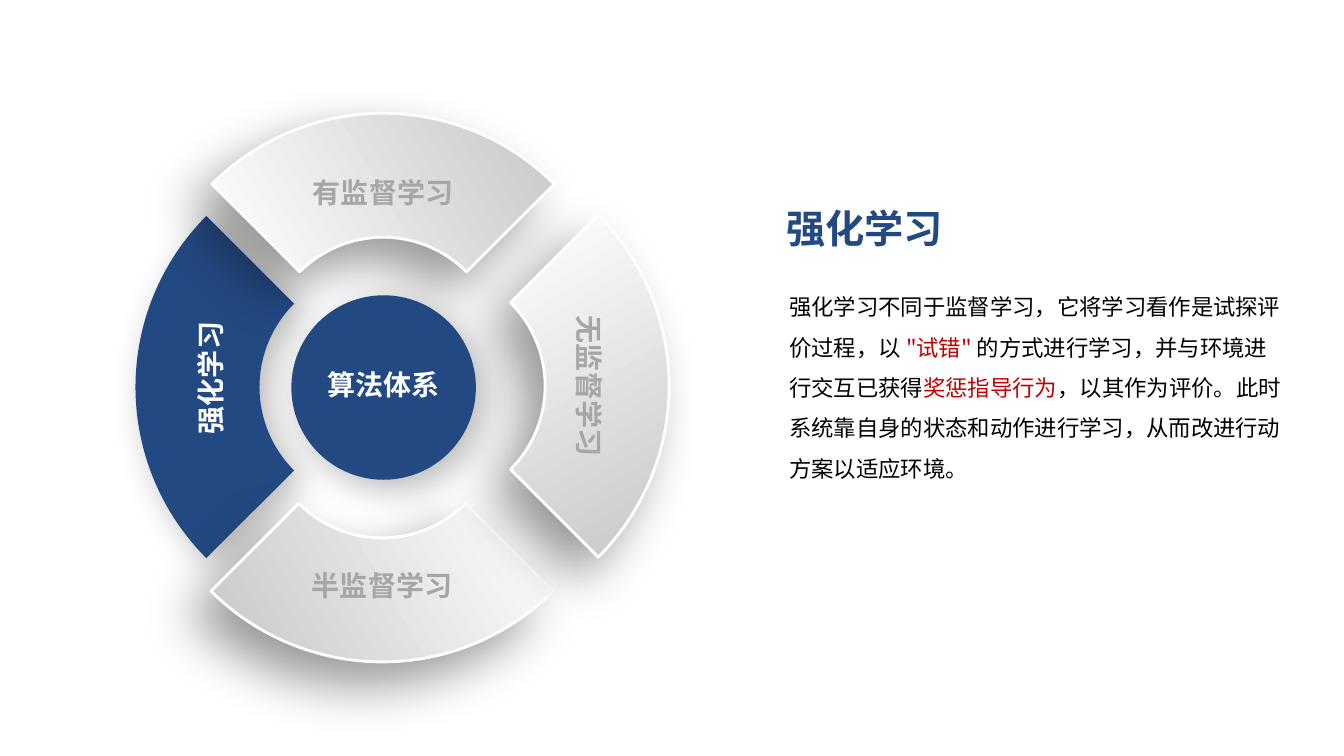
from math import cos, radians, sin, tan

from lxml.etree import SubElement
from pptx import Presentation
from pptx.dml.color import RGBColor
from pptx.enum.shapes import MSO_SHAPE
from pptx.enum.text import MSO_ANCHOR, MSO_AUTO_SIZE, PP_ALIGN
from pptx.oxml.ns import qn
from pptx.oxml.xmlchemy import OxmlElement
from pptx.util import Inches, Pt

FONT = "Noto Sans CJK SC"
BLUE = RGBColor(0x23, 0x49, 0x83)
RED = RGBColor(0xC0, 0x00, 0x00)
BLACK = RGBColor(0x00, 0x00, 0x00)
WHITE = RGBColor(0xFF, 0xFF, 0xFF)
SILVER = RGBColor(0xC8, 0xC8, 0xC8)
GRAY = RGBColor(0xA6, 0xA6, 0xA6)

OUTER_RADIUS = 2.4
INNER_RADIUS = 1.17
CURVE_STARTS = (0, 3, 7, 10)
BLUE_SHADOW = (28, 25, 9, 45)
SILVER_SHADOW = (40, 38, 22, 135)

BODY_RUNS = [
    ("强化学习不同于监督学习，它将学习看作是试探评价过程，以 ", BLACK),
    ("\"试错\" ", RED),
    ("的方式进行学习，并与环境进行交互已获得", BLACK),
    ("奖惩指导行为", RED),
    ("，以其作为评价。此时系统靠自身的状态和动作进行学习，从而改进行动方案以适应环境。", BLACK),
]


def add_run(paragraph, text, size, color, bold=False):
    """Add one run with its Latin and East Asian fonts set."""
    run = paragraph.add_run()
    run.text = text
    run.font.name = FONT
    run.font.size = Pt(size)
    run.font.bold = bold
    run.font.color.rgb = color
    SubElement(run.font._element, qn("a:ea"), typeface=FONT)


def add_text(slide, box, runs, size, bold=False, spacing=None,
             align=PP_ALIGN.LEFT, wrap=False, rotation=0):
    """Add a text box holding one paragraph of coloured runs."""
    shape = slide.shapes.add_textbox(*map(Inches, box))
    shape.rotation = rotation
    frame = shape.text_frame
    frame.word_wrap = wrap
    frame.auto_size = MSO_AUTO_SIZE.SHAPE_TO_FIT_TEXT
    paragraph = frame.paragraphs[0]
    paragraph.alignment = align
    paragraph.line_spacing = spacing
    for text, color in runs:
        add_run(paragraph, text, size, color, bold)


def set_shadow(shape, opacity, blur, distance, direction):
    """Give a shape a soft black outer shadow."""
    shape.shadow.inherit = False
    effects = shape._element.spPr.find(qn("a:effectLst"))
    shadow = SubElement(
        effects, qn("a:outerShdw"), blurRad=str(Pt(blur)), dist=str(Pt(distance)),
        dir=str(direction * 60000), algn="ctr", rotWithShape="0")
    color = SubElement(shadow, qn("a:srgbClr"), val="000000")
    SubElement(color, qn("a:alpha"), val=str(opacity * 1000))


def fill_blue(shape):
    """Style a shape as highlighted."""
    shape.fill.solid()
    shape.fill.fore_color.rgb = BLUE
    shape.line.fill.background()
    set_shadow(shape, *BLUE_SHADOW)


def fill_silver(shape):
    """Style a shape as inactive, with a white rim."""
    shape.fill.gradient()
    shape.fill.gradient_angle = 30
    for stop, color in zip(shape.fill.gradient_stops, (WHITE, SILVER)):
        stop.color.rgb = color
    shape.line.color.rgb = WHITE
    shape.line.width = Pt(2)
    set_shadow(shape, *SILVER_SHADOW)


def arc_points(radius, start, step):
    """Return the ends and handles of two joined curves, angles from the top."""
    handle = 4 / 3 * tan(radians(step) / 4)
    points = []
    for index in range(3):
        angle = radians(start + index * step)
        for shift in (-handle, 0, handle):
            x = radius * (sin(angle) + shift * cos(angle))
            y = radius * (shift * sin(angle) - cos(angle))
            points.append((Inches(x), Inches(y)))
    return points[1:-1]


def bend_edges(segment):
    """Turn each run of three line steps along an arc into one curve."""
    lines = list(segment._element.spPr.iter(qn("a:lnTo")))
    for start in CURVE_STARTS:
        curve = OxmlElement("a:cubicBezTo")
        lines[start].addprevious(curve)
        for line in lines[start:start + 3]:
            curve.append(line[0])
            line.getparent().remove(line)


def add_segment(slide, center_x, center_y, rotation, style, label=None):
    """Add a quarter-ring segment centred on a point."""
    points = arc_points(OUTER_RADIUS, -45, 45) + arc_points(INNER_RADIUS, 45, -45)
    builder = slide.shapes.build_freeform(*points[0])
    builder.add_line_segments(points[1:], close=True)
    segment = builder.convert_to_shape()
    bend_edges(segment)
    segment.left = Inches(center_x) - segment.width // 2
    segment.top = Inches(center_y) - segment.height // 2
    segment.rotation = rotation
    style(segment)
    if label:
        frame = segment.text_frame
        frame.vertical_anchor = MSO_ANCHOR.MIDDLE
        frame.paragraphs[0].alignment = PP_ALIGN.CENTER
        add_run(frame.paragraphs[0], label, 20, GRAY, True)


def add_hub(slide):
    """Add the round centre of the wheel."""
    hub = slide.shapes.add_shape(
        MSO_SHAPE.OVAL, Inches(2.89), Inches(2.93), Inches(1.83), Inches(1.83))
    fill_blue(hub)


def main():
    """Build the slide and save it."""
    presentation = Presentation()
    presentation.slide_width = Inches(13.33)
    presentation.slide_height = Inches(7.5)
    slide = presentation.slides.add_slide(presentation.slide_layouts[6])

    add_text(slide, (7.7, 1.98, 1.77, 0.57), [("强化学习", BLUE)], 28, bold=True)
    add_text(slide, (7.73, 2.73, 5.1, 2.12), BODY_RUNS, 16, spacing=1.5, wrap=True)

    add_segment(slide, 2.13, 3.84, 270, fill_blue)
    add_segment(slide, 3.8, 1.91, 0, fill_silver, "有监督学习")
    add_segment(slide, 3.79, 5.78, 180, fill_silver)
    add_segment(slide, 5.85, 3.83, 90, fill_silver, "无监督学习")
    add_hub(slide)

    add_text(slide, (1.46, 3.56, 1.32, 0.38), [("强化学习", WHITE)], 20, bold=True,
             spacing=Pt(20), align=PP_ALIGN.CENTER, rotation=270)
    add_text(slide, (3.15, 3.71, 1.32, 0.34), [("算法体系", WHITE)], 20, bold=True,
             spacing=Pt(16))
    add_text(slide, (2.99, 5.65, 1.6, 0.38), [("半监督学习", GRAY)], 20, bold=True,
             spacing=Pt(20), align=PP_ALIGN.CENTER)

    presentation.save("out.pptx")


if __name__ == "__main__":
    main()
